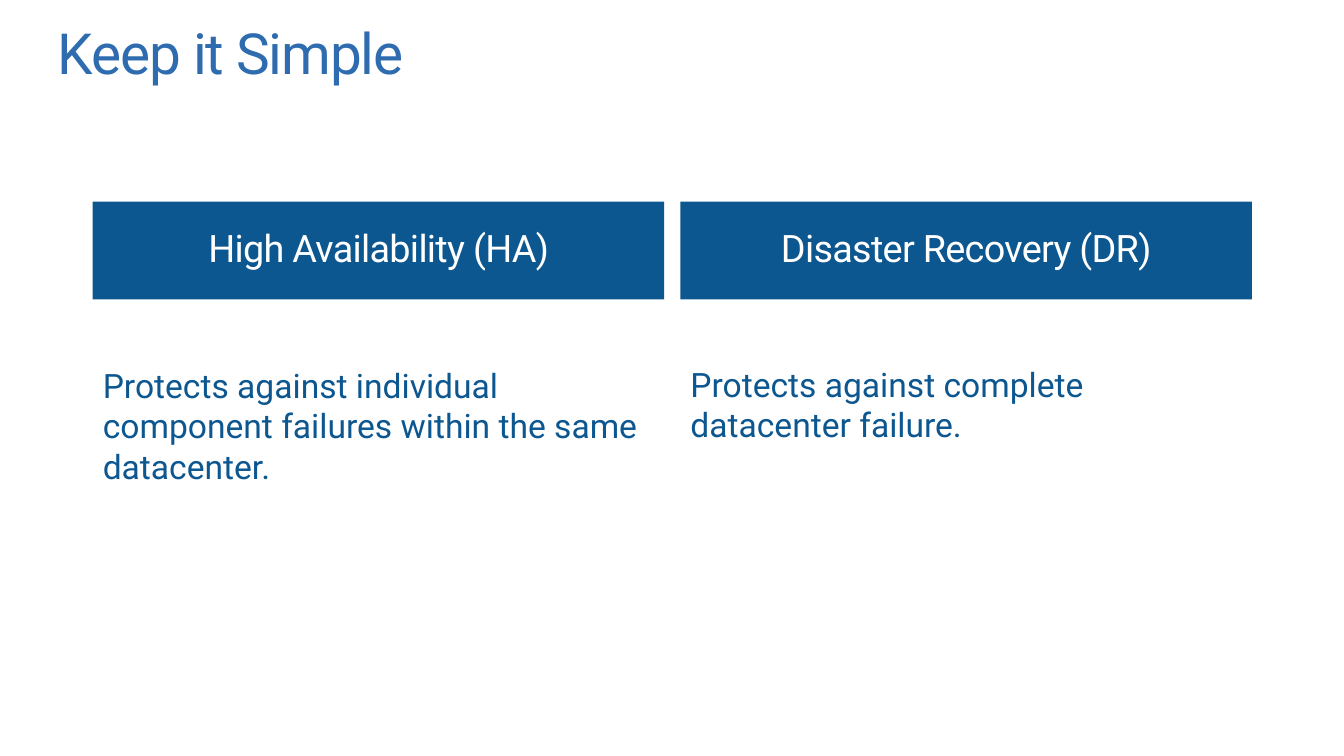
from dataclasses import dataclass
from typing import Optional

from pptx import Presentation
from pptx.dml.color import RGBColor
from pptx.enum.text import MSO_ANCHOR, MSO_AUTO_SIZE, PP_ALIGN
from pptx.util import Pt
from lxml.etree import SubElement
from pptx.oxml.ns import qn

COLORS = {"title": "2E6CAF", "panel": "0D5790", "white": "FFFFFF"}


@dataclass(frozen=True)
class TextStyle:
    size: float
    color: str
    alignment: PP_ALIGN = PP_ALIGN.LEFT
    anchor: MSO_ANCHOR = MSO_ANCHOR.TOP
    line_spacing: float = 0.9
    tracking: float = 0
    inset_x: float = 0
    inset_y: float = 0
    fill: Optional[str] = None
    auto_size: MSO_AUTO_SIZE = MSO_AUTO_SIZE.NONE


@dataclass(frozen=True)
class Column:
    left: float
    heading_index: int
    heading: str
    description_index: int
    description: str
    description_top: float


TITLE = TextStyle(40.5, "title", tracking=-0.8)
HEADING = TextStyle(27, "white", PP_ALIGN.CENTER, MSO_ANCHOR.MIDDLE,
                    tracking=-0.5, fill="panel")
DESCRIPTION = TextStyle(24, "panel", line_spacing=1, inset_x=7.2, inset_y=3.6,
                        auto_size=MSO_AUTO_SIZE.SHAPE_TO_FIT_TEXT)

COLUMN_WIDTH = 408.24
COLUMNS = [
    Column(66.24, 1, "High Availability (HA)", 2,
           "Protects against individual component failures within the same datacenter.", 257.04),
    Column(486, 3, "Disaster Recovery (DR)", 4,
           "Protects against complete datacenter failure.", 256.32),
]


def set_attributes(target, values: dict) -> None:
    for name, value in values.items():
        setattr(target, name, value)


def fill_placeholder(shape, text: str, style: TextStyle,
                     left: float, top: float, width: float, height: float) -> None:
    """Place a placeholder and give it one formatted paragraph."""
    set_attributes(shape, {"left": Pt(left), "top": Pt(top),
                           "width": Pt(width), "height": Pt(height)})
    if style.fill:
        shape.fill.solid()
        shape.fill.fore_color.rgb = RGBColor.from_string(COLORS[style.fill])

    frame = shape.text_frame
    set_attributes(frame, {
        "text": text, "word_wrap": True,
        "auto_size": style.auto_size, "vertical_anchor": style.anchor,
        "margin_left": Pt(style.inset_x), "margin_right": Pt(style.inset_x),
        "margin_top": Pt(style.inset_y), "margin_bottom": Pt(style.inset_y),
    })

    paragraph = frame.paragraphs[0]
    set_attributes(paragraph, {"alignment": style.alignment, "space_before": Pt(0),
                               "line_spacing": style.line_spacing})
    # No bullet and no hanging indent
    properties = paragraph._p.get_or_add_pPr()
    properties.set("marL", "0")
    properties.set("indent", "0")
    SubElement(properties, qn("a:buNone"))

    font = paragraph.runs[0].font
    set_attributes(font, {"name": "Roboto", "size": Pt(style.size), "bold": False})
    font.color.rgb = RGBColor.from_string(COLORS[style.color])
    if style.tracking:
        font._element.set("spc", str(round(style.tracking * 100)))


def main() -> None:
    presentation = Presentation()
    set_attributes(presentation, {"slide_width": Pt(960), "slide_height": Pt(540)})
    layout = presentation.slide_layouts.get_by_name("Comparison")
    slide = presentation.slides.add_slide(layout)
    placeholders = slide.placeholders

    # Title
    fill_placeholder(slide.shapes.title, "Keep it Simple", TITLE, 41.04, 18, 878.4, 59.04)

    # Two columns: heading panel above its description
    for column in COLUMNS:
        fill_placeholder(placeholders[column.heading_index], column.heading, HEADING,
                         column.left, 144, COLUMN_WIDTH, 69.84)
        fill_placeholder(placeholders[column.description_index], column.description,
                         DESCRIPTION, column.left, column.description_top,
                         COLUMN_WIDTH, 65.52)

    presentation.save("out.pptx")


if __name__ == "__main__":
    main()
